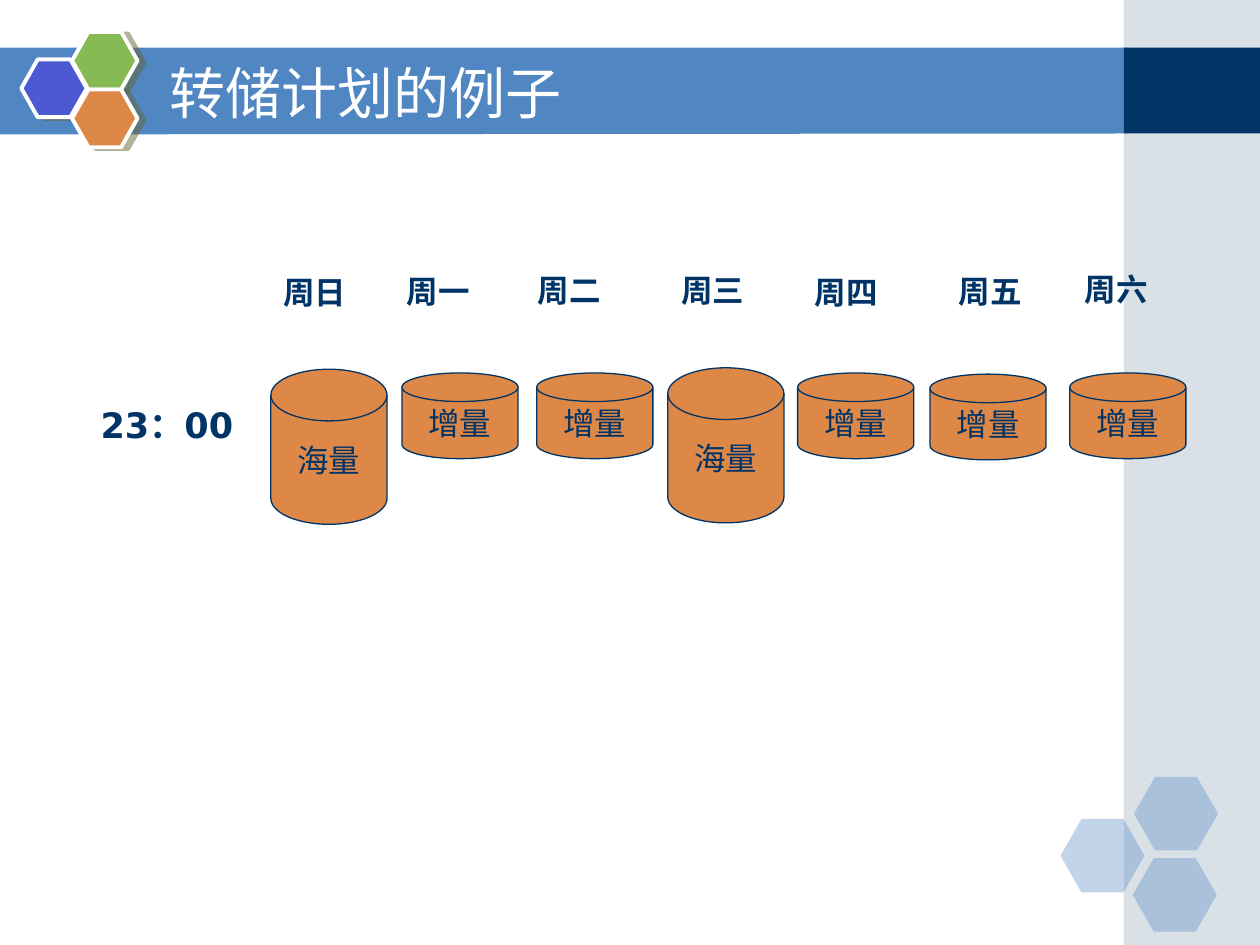
from pptx import Presentation
from pptx.dml.color import RGBColor
from pptx.enum.shapes import MSO_SHAPE
from pptx.enum.text import MSO_ANCHOR, PP_ALIGN
from pptx.oxml import parse_xml
from pptx.oxml.ns import nsdecls
from pptx.util import Pt

RECT, HEX = MSO_SHAPE.RECTANGLE, MSO_SHAPE.HEXAGON
DISK = MSO_SHAPE.FLOWCHART_MAGNETIC_DISK
TOP, MIDDLE = MSO_ANCHOR.TOP, MSO_ANCHOR.MIDDLE
CENTER = PP_ALIGN.CENTER

COLORS = {
    "band": "5086C2", "navy": "003366", "mist": "A0B5C4", "white": "FFFFFF",
    "violet": "4C59D2", "green": "85BA54", "orange": "DE8848", "shade": "666633",
}
FULL, PART = ("海量", 88.6), ("增量", 49)
DAYS = [
    ("周日", 0.8, 2.6, FULL, 0.8, 61),
    ("周一", 71.4, 1.9, PART, 75.7, 63.1),
    ("周二", 146.2, 1.2, PART, 152.7, 63.1),
    ("周三", 228.3, 1.2, FULL, 227.6, 60.2),
    ("周四", 304.6, 2.6, PART, 301.8, 63.1),
    ("周五", 386.7, 1.9, PART, 377.4, 63.8),
    ("周六", 458.7, 0.5, PART, 457.3, 63.1),
]


def rgb(name):
    """Return the named colour."""
    return RGBColor.from_string(COLORS[name])


def paint(shape, fill, line=None, width=0.75, alpha=None):
    """Set fill, outline and opacity of a shape."""
    shape.shadow.inherit = False
    shape.fill.solid()
    shape.fill.fore_color.rgb = rgb(fill)
    if alpha:
        color = shape.fill._xPr.solidFill[0]
        color.append(parse_xml(f'<a:alpha {nsdecls("a")} val="{alpha * 1000}"/>'))
    if line:
        shape.line.color.rgb = rgb(line)
        shape.line.width = Pt(width)
    else:
        shape.line.fill.background()


def add(slide, kind, box, fill, **style):
    """Add a painted preset shape."""
    shape = slide.shapes.add_shape(kind, *map(Pt, box))
    paint(shape, fill, **style)
    return shape


def write(shape, text, size, font="Arial", color="navy", bold=False):
    """Add one run of text and return its paragraph."""
    para = shape.text_frame.paragraphs[0]
    run = para.add_run()
    run.text = text
    run.font.size, run.font.name, run.font.bold = Pt(size), font, bold
    run.font.color.rgb = rgb(color)
    return para


def label(slide, box, text, size, before=0, indent=0, anchor=TOP, **style):
    """Add a wrapped text box."""
    shape = slide.shapes.add_textbox(*map(Pt, box))
    shape.text_frame.word_wrap = True
    shape.text_frame.vertical_anchor = anchor
    para = write(shape, text, size, **style)
    para.space_before = Pt(before)
    if indent:
        props = para._p.get_or_add_pPr()
        props.set("marL", str(Pt(indent)))
        props.set("indent", str(Pt(-indent)))


def header(slide, left, top, width, height):
    """Draw the title band and the side column."""
    form = slide.shapes.build_freeform(Pt(left), Pt(top))
    right, low = left + width, top + height
    form.add_line_segments(
        [(Pt(right), Pt(top)), (Pt(right), Pt(low - 0.5)), (Pt(left), Pt(low))])
    paint(form.convert_to_shape(), "band")
    add(slide, RECT, (right - 2.2, 0, 77.8, 540), "mist", alpha=40)
    add(slide, RECT, (right - 2.2, top, 77.8, height - 0.5), "navy")


def corner(slide, left, top):
    """Draw the pale hexagons."""
    for dx, dy in [(0, 24), (42, 0), (41.3, 46.4)]:
        shape = add(slide, HEX, (left + dx, top + dy, 48, 42), "band", alpha=35)
        shape.adjustments[0] = 0.286


def emblem(slide, left, top):
    """Draw the outlined hexagons with their shadows."""
    for dx, dy, fill in [(0, 15.8, "violet"), (29, 0, "green"), (29, 33, "orange")]:
        box = (left + dx, top + dy, 37.4, 33)
        shape = add(slide, HEX, box, fill, line="white", width=2.25)
        shape.adjustments[0] = 0.283
        shape._element.spPr.find(".//{*}effectLst").append(parse_xml(
            f'<a:outerShdw {nsdecls("a")} dist="{Pt(4.1)}" dir="840000" '
            f'algn="ctr" rotWithShape="0"><a:srgbClr val="{COLORS["shade"]}">'
            '<a:alpha val="50000"/></a:srgbClr></a:outerShdw>'))


def disk(slide, box, text):
    """Draw one labelled backup disk."""
    shape = add(slide, DISK, box, "orange", line="navy")
    shape.text_frame.word_wrap = False
    shape.text_frame.vertical_anchor = MIDDLE
    write(shape, text, 18).alignment = CENTER


def week(slide, left, top):
    """Place the disks and day names of the week."""
    for _, _, _, (text, height), dx, dy in DAYS:
        disk(slide, (left + dx, top + dy, 66.4, height), text)
    for day, dx, dy, *_ in DAYS:
        label(slide, (left + dx, top + dy, 64, 51.5), day, 18,
              before=4.5, indent=27, bold=True)


def main():
    """Build and save the slide."""
    deck = Presentation()
    deck.slide_width, deck.slide_height = Pt(720), Pt(540)
    slide = deck.slides.add_slide(deck.slide_layouts[6])
    header(slide, -0.7, 27.2, 645.1, 49.6)
    corner(slide, 606, 444)
    emblem(slide, 12.2, 18.2)
    label(slide, (90, 30.2, 528, 44.6), "转储计划的例子", 32,
          anchor=MIDDLE, font="DejaVu Sans", color="white")
    label(slide, (50.4, 226.8, 106.6, 51.8), "23：00", 20,
          before=5, indent=27, font="DejaVu Sans", bold=True)
    week(slide, 154, 150)
    deck.save("out.pptx")


if __name__ == "__main__":
    main()
